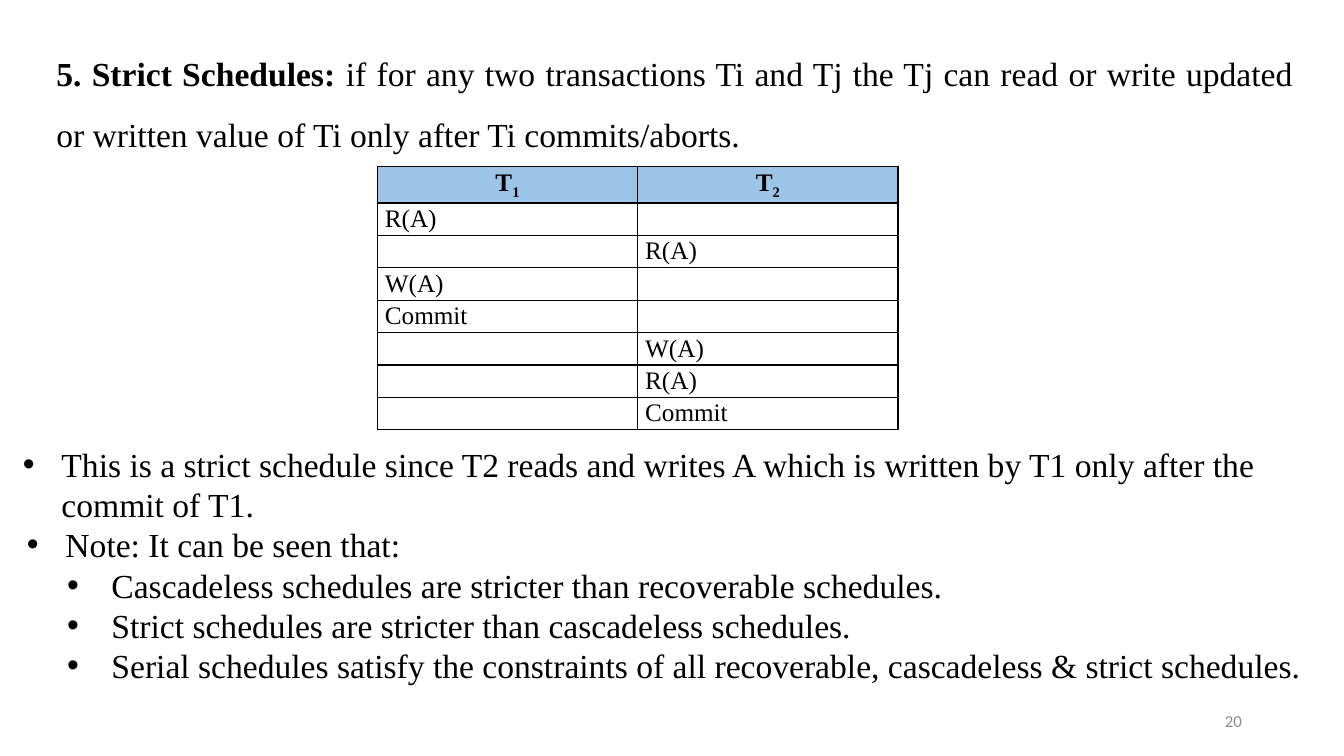
"""Build the slide on strict schedules with its two-transaction table."""
from lxml import etree
from pptx import Presentation
from pptx import util as u
from pptx.dml.color import RGBColor
from pptx.enum import text
from pptx.oxml import ns

BLACK = RGBColor(0, 0, 0)
GREY = RGBColor(0x8C, 0x8C, 0x8C)
HEADER_BLUE = RGBColor(0x9D, 0xC3, 0xE6)
SERIF = "Times New Roman"

DEFINITION = [
    ("5. Strict Schedules: ", {"bold": True}),
    ("if for any two transactions Ti and Tj the Tj can read or write updated "
     "or written value of Ti only after Ti commits/aborts.", {}),
]
TRANSACTIONS = ["1", "2"]
STEPS = [
    ("R(A)", ""),
    ("", "R(A)"),
    ("W(A)", ""),
    ("Commit", ""),
    ("", "W(A)"),
    ("", "R(A)"),
    ("", "Commit"),
]
TOP = {"indent": 0.97, "hang": 0.97}
SECOND = {"indent": 1.07, "hang": 0.97}
SUB = {"indent": 2.23, "hang": 1.12, "align": text.PP_ALIGN.JUSTIFY}
NOTES = [
    ("This is a strict schedule since T2 reads and writes A which is written "
     "by T1 only after the commit of T1.", TOP),
    ("Note: It can be seen that:", SECOND),
    ("Cascadeless schedules are stricter than recoverable schedules.", SUB),
    ("Strict schedules are stricter than cascadeless schedules.", SUB),
    ("Serial schedules satisfy the constraints of all recoverable, cascadeless "
     "& strict schedules.", SUB),
]
PAGE_NUMBER = "20"
HEADER_HEIGHT, STEP_HEIGHT, COLUMN_WIDTH = 0.86, 0.75, 6.56


def write(para, words, size=24, font=SERIF, color=BLACK, bold=False,
          baseline=None, align=None, spacing=None):
    span = para.add_run()
    span.text = words
    span.font.size = u.Pt(size)
    span.font.name = font
    span.font.color.rgb = color
    span.font.bold = bold
    if baseline:
        span.font._element.set("baseline", str(baseline))
    if align is not None:
        para.alignment = align
    if spacing:
        para.line_spacing = spacing


def add_box(page, left, top, width, height):
    box = page.shapes.add_textbox(u.Cm(left), u.Cm(top), u.Cm(width), u.Cm(height))
    box.text_frame.word_wrap = True
    return box.text_frame


def set_indent(para, indent, hang=0):
    properties = para._p.get_or_add_pPr()
    properties.set("marL", str(u.Cm(indent)))
    properties.set("indent", str(-u.Cm(hang)))
    if hang:
        etree.SubElement(properties, ns.qn("a:buFont")).set("typeface", "Arial")
        etree.SubElement(properties, ns.qn("a:buChar")).set("char", "•")


def style_cell(cell, fill=None):
    cell.margin_left = cell.margin_right = u.Cm(0.19)
    cell.margin_top = cell.margin_bottom = 0
    properties = cell._tc.get_or_add_tcPr()
    for side in ("lnL", "lnR", "lnT", "lnB"):
        line = etree.SubElement(properties, ns.qn(f"a:{side}"), w=str(u.Pt(1)))
        solid = etree.SubElement(line, ns.qn("a:solidFill"))
        etree.SubElement(solid, ns.qn("a:srgbClr"), val=str(BLACK))
    if fill is None:
        cell.fill.background()
    else:
        cell.fill.solid()
        cell.fill.fore_color.rgb = fill


def add_schedule(page):
    height = HEADER_HEIGHT + STEP_HEIGHT * len(STEPS)
    frame = page.shapes.add_table(len(STEPS) + 1, len(TRANSACTIONS), u.Cm(9.51),
                                  u.Cm(4.19), u.Cm(2 * COLUMN_WIDTH), u.Cm(height))
    table = frame.table
    for column in table.columns:
        column.width = u.Cm(COLUMN_WIDTH)
    for index, row in enumerate(table.rows):
        row.height = u.Cm(STEP_HEIGHT if index else HEADER_HEIGHT)
    for index, number in enumerate(TRANSACTIONS):
        cell = table.cell(0, index)
        style_cell(cell, HEADER_BLUE)
        para = cell.text_frame.paragraphs[0]
        look = {"size": 18, "bold": True, "spacing": 1.07,
                "align": text.PP_ALIGN.CENTER}
        write(para, "T", **look)
        write(para, number, baseline=-25000, **look)
    for row, step in enumerate(STEPS, 1):
        for column, action in enumerate(step):
            cell = table.cell(row, column)
            style_cell(cell)
            write(cell.text_frame.paragraphs[0], action, size=18, spacing=1.07)


def main():
    deck = Presentation()
    deck.slide_width, deck.slide_height = u.Cm(33.87), u.Cm(19.05)
    page = deck.slides.add_slide(deck.slide_layouts[6])

    para = add_box(page, 1.04, 0.71, 31.8, 9.88).paragraphs[0]
    set_indent(para, 0.13)
    para.space_before = u.Pt(10)
    for words, look in DEFINITION:
        write(para, words, align=text.PP_ALIGN.JUSTIFY, spacing=1.5, **look)

    number = add_box(page, 23.93, 17.65, 7.62, 1.02)
    number.vertical_anchor = text.MSO_ANCHOR.MIDDLE
    write(number.paragraphs[0], PAGE_NUMBER, size=12, font="Calibri", color=GREY,
          align=text.PP_ALIGN.RIGHT)

    add_schedule(page)

    notes = add_box(page, 0.33, 11.05, 32.79, 6.4)
    notes.auto_size = text.MSO_AUTO_SIZE.SHAPE_TO_FIT_TEXT
    for index, (words, level) in enumerate(NOTES):
        para = notes.add_paragraph() if index else notes.paragraphs[0]
        set_indent(para, level["indent"], level["hang"])
        write(para, words, align=level.get("align"))
    deck.save("out.pptx")


if __name__ == "__main__":
    main()
